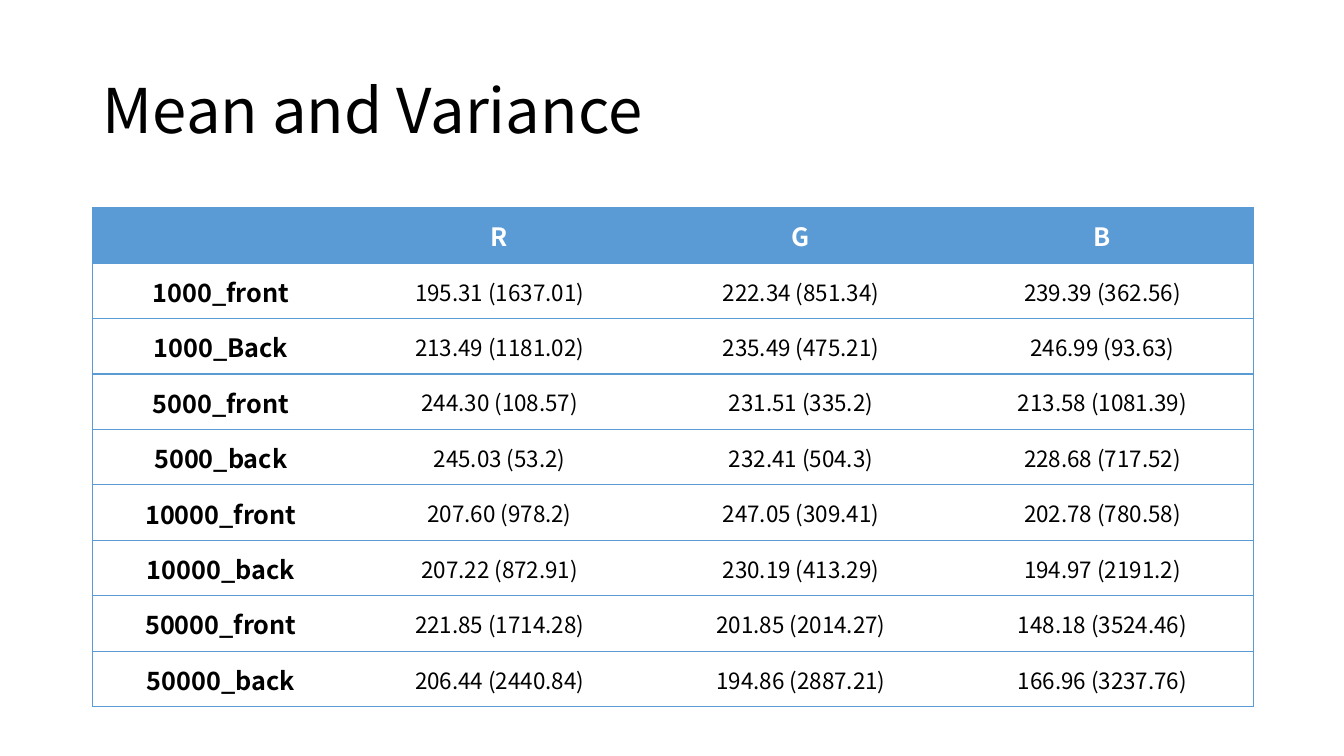
from dataclasses import dataclass

from lxml import etree
from pptx import Presentation
from pptx.dml.color import RGBColor
from pptx.enum.text import MSO_ANCHOR, PP_ALIGN
from pptx.oxml.ns import qn
from pptx.util import Inches, Pt

TITLE = "Mean and Variance"
ROWS = [
    ("", "R", "G", "B"),
    ("1000_front", "195.31 (1637.01)", "222.34 (851.34)", "239.39 (362.56)"),
    ("1000_Back", "213.49 (1181.02)", "235.49 (475.21)", "246.99 (93.63)"),
    ("5000_front", "244.30 (108.57)", "231.51 (335.2)", "213.58 (1081.39)"),
    ("5000_back", "245.03 (53.2)", "232.41 (504.3)", "228.68 (717.52)"),
    ("10000_front", "207.60 (978.2)", "247.05 (309.41)", "202.78 (780.58)"),
    ("10000_back", "207.22 (872.91)", "230.19 (413.29)", "194.97 (2191.2)"),
    ("50000_front", "221.85 (1714.28)", "201.85 (2014.27)", "148.18 (3524.46)"),
    ("50000_back", "206.44 (2440.84)", "194.86 (2887.21)", "166.96 (3237.76)"),
]


@dataclass(frozen=True)
class Theme:
    font: str = "Noto Sans CJK KR"
    accent: str = "5B9BD5"
    text: str = "000000"
    paper: str = "FFFFFF"
    title_size: int = 44
    label_size: int = 18
    value_size: int = 16
    border_width: int = 1


THEME = Theme()
SLIDE_WIDTH, SLIDE_HEIGHT = 13.33, 7.5
LEFT = 0.92
TITLE_TOP, TITLE_HEIGHT = 0.4, 1.45
TABLE_TOP, ROW_HEIGHT = 2.06, 0.55
LABEL_WIDTH, VALUE_WIDTH = 2.54, 2.99
CELL_MARGIN = 0.01
TITLE_ONLY = 5
MIDDLE = MSO_ANCHOR.MIDDLE
LEFT_ALIGN, CENTER = PP_ALIGN.LEFT, PP_ALIGN.CENTER


def add_text(paragraph, text, size, color, bold, alignment):
    paragraph.alignment = alignment
    run = paragraph.add_run()
    run.text = text
    run.font.name = THEME.font
    run.font.size = Pt(size)
    run.font.bold = bold
    run.font.color.rgb = RGBColor.from_string(color)


def add_border(cell, side, visible):
    properties = cell._tc.get_or_add_tcPr()
    line = etree.SubElement(properties, qn(f"a:ln{side}"), w=str(Pt(THEME.border_width)))
    if visible:
        fill = etree.SubElement(line, qn("a:solidFill"))
        etree.SubElement(fill, qn("a:srgbClr"), val=THEME.accent)
    else:
        etree.SubElement(line, qn("a:noFill"))


def format_cell(cell, text, is_header, is_first, is_last):
    visible_sides = {"L": is_first, "R": is_last, "T": True, "B": True}
    for side, visible in visible_sides.items():
        add_border(cell, side, visible)
    cell.fill.solid()
    cell.fill.fore_color.rgb = RGBColor.from_string(THEME.accent if is_header else THEME.paper)
    cell.vertical_anchor = MIDDLE
    cell.margin_left = cell.margin_right = cell.margin_top = Inches(CELL_MARGIN)
    cell.margin_bottom = 0
    if text:
        is_label = is_header or is_first
        size = THEME.label_size if is_label else THEME.value_size
        color = THEME.paper if is_header else THEME.text
        add_text(cell.text_frame.paragraphs[0], text, size, color, is_label, CENTER)


def add_title(slide):
    title = slide.shapes.title
    title.left, title.top = Inches(LEFT), Inches(TITLE_TOP)
    title.width, title.height = Inches(SLIDE_WIDTH - 2 * LEFT), Inches(TITLE_HEIGHT)
    title.text_frame.vertical_anchor = MIDDLE
    paragraph = title.text_frame.paragraphs[0]
    paragraph.line_spacing = 0.9
    add_text(paragraph, TITLE, THEME.title_size, THEME.text, False, LEFT_ALIGN)


def add_statistics_table(slide):
    widths = [LABEL_WIDTH] + [VALUE_WIDTH] * (len(ROWS[0]) - 1)
    table = slide.shapes.add_table(
        len(ROWS), len(widths), Inches(LEFT), Inches(TABLE_TOP),
        Inches(sum(widths)), Inches(ROW_HEIGHT * len(ROWS)),
    ).table
    table.horz_banding = False
    for column, width in zip(table.columns, widths):
        column.width = Inches(width)
    for row_index, values in enumerate(ROWS):
        table.rows[row_index].height = Inches(ROW_HEIGHT)
        for column_index, value in enumerate(values):
            format_cell(
                table.cell(row_index, column_index), value,
                row_index == 0, column_index == 0, column_index == len(values) - 1,
            )


def main():
    presentation = Presentation()
    presentation.slide_width = Inches(SLIDE_WIDTH)
    presentation.slide_height = Inches(SLIDE_HEIGHT)
    slide = presentation.slides.add_slide(presentation.slide_layouts[TITLE_ONLY])
    add_title(slide)
    add_statistics_table(slide)
    presentation.save("out.pptx")


if __name__ == "__main__":
    main()
